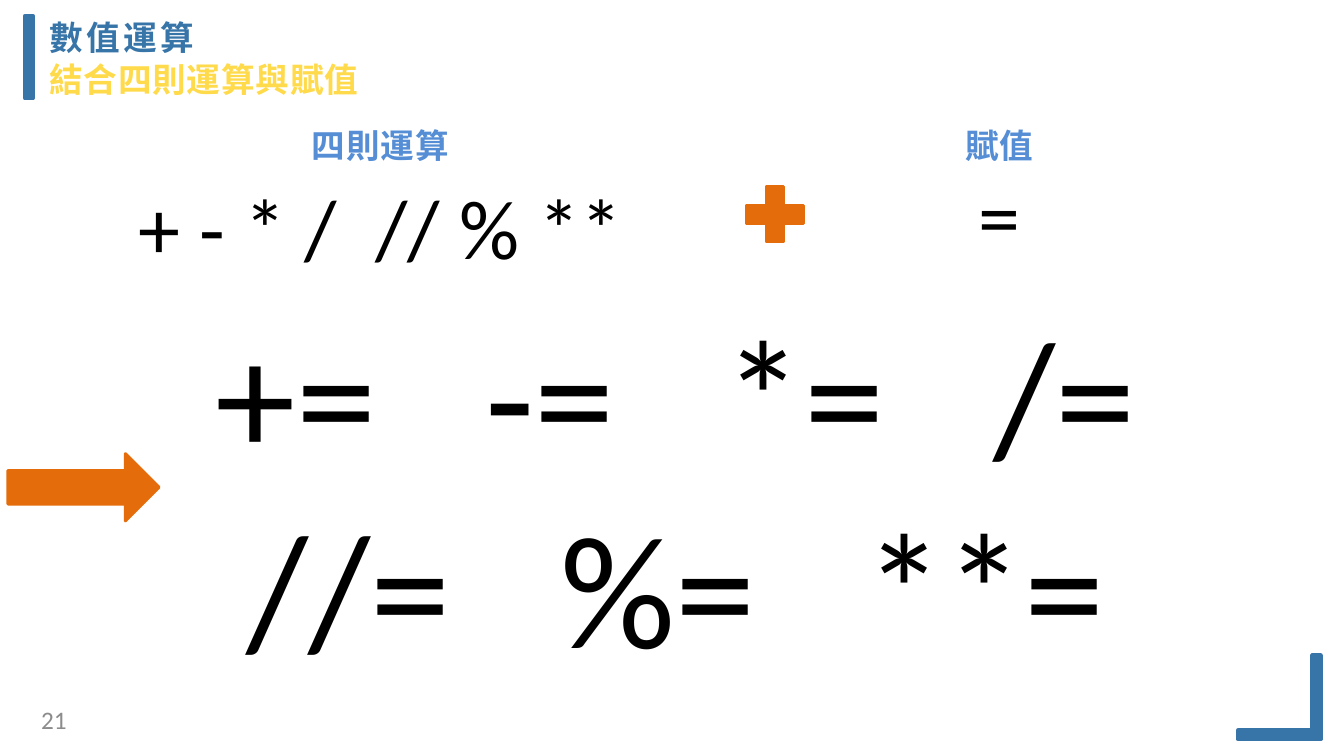
from pptx import Presentation
from pptx import util as u
from pptx.dml.color import RGBColor
from pptx.enum import shapes, text
from pptx.oxml.ns import qn

BLUE, YELLOW, HEADING = "3775A9", "FFDA4A", "558ED5"
ORANGE, BLACK, GREY = "E46C0A", "000000", "8C8C8C"
CJK, LATIN = "Noto Sans CJK SC", "Calibri"
ALIGN = text.PP_ALIGN


def color(code):
    return RGBColor.from_string(code)


def place(item, box):
    item.left, item.top, item.width, item.height = (u.Cm(n) for n in box)


def add_text(frame, lines, colors, size, font=LATIN, bold=False, spacing=(0,),
             align=ALIGN.CENTER, margins=(0.25, 0.13), leading=None, before=0):
    """Fill a frame, cycling colours and letter spacing over its lines."""
    frame.word_wrap = True
    frame.auto_size = text.MSO_AUTO_SIZE.NONE
    frame.vertical_anchor = text.MSO_ANCHOR.TOP
    frame.margin_left = frame.margin_right = u.Cm(margins[0])
    frame.margin_top = frame.margin_bottom = u.Cm(margins[1])
    for number, line in enumerate(lines):
        para = frame.paragraphs[0] if number == 0 else frame.add_paragraph()
        para.alignment = align
        para.space_before = u.Pt(before)
        if leading:
            para.line_spacing = u.Pt(leading)
        span = para.add_run()
        span.text = line
        span.font.name, span.font.size, span.font.bold = font, u.Pt(size), bold
        span.font.color.rgb = color(colors[number % len(colors)])
        props = span.font._element
        props.set("spc", str(int(spacing[number % len(spacing)] * 100)))
        east_asian = props.makeelement(qn("a:ea"), {"typeface": font})
        props.find(qn("a:latin")).addnext(east_asian)


def add_label(page, box, lines, code, size, **style):
    label = page.shapes.add_textbox(*(u.Cm(n) for n in box))
    add_text(label.text_frame, lines, [code], size, **style)


def add_block(page, kind, box, code, line_width=2):
    block = page.shapes.add_shape(kind, *(u.Cm(n) for n in box))
    block.shadow.inherit = False
    block.fill.solid()
    block.fill.fore_color.rgb = block.line.color.rgb = color(code)
    block.line.width = u.Pt(line_width)


def add_bar(page, box):
    add_block(page, shapes.MSO_SHAPE.RECTANGLE, box, BLUE, 3)


def add_header(page, box):
    left, top, width, height = box
    # Accent bar, then the two-line title
    add_bar(page, (left, top, 0.2, height - 0.05))
    title = page.shapes.title
    place(title, (left + 0.61, top, width - 0.61, height))
    add_text(title.text_frame, ["數值運算", "結合四則運算與賦值"], [BLUE, YELLOW],
             24, font=CJK, bold=True, spacing=(2.4, 0.6), align=ALIGN.LEFT,
             margins=(0, 0.03), leading=29, before=1)


def add_ingredient(page, box, heading, symbols, drop):
    """A heading centred over its row of symbols."""
    left, top, width, height = box
    add_label(page, (left, top, width, 1.27), [heading], HEADING, 24, font=CJK,
              bold=True, spacing=(0.6,), leading=29)
    add_label(page, (left, top + drop, width, height - drop), [symbols], BLACK, 60)


def add_result(page, box):
    left, top, width, height = box
    # Arrow pointing at the combined operators
    add_block(page, shapes.MSO_SHAPE.RIGHT_ARROW, (left, top + 4.14, 3.81, 1.7), ORANGE)
    add_label(page, (left + 4.7, top, width - 4.7, height),
              ["+=   -=   *=   /=", "//=   %=   **="], BLACK, 115)


def add_corner(page, box):
    left, top, width, height = box
    thick = 0.21
    add_bar(page, (left + width - thick, top, thick, height))
    add_bar(page, (left, top + height - thick, width, thick))


def main():
    deck = Presentation()
    deck.slide_width, deck.slide_height = u.Cm(33.87), u.Cm(19.05)
    page = deck.slides.add_slide(deck.slide_layouts[5])

    add_header(page, (0.63, 0.4, 10.8, 2.13))

    # Arithmetic plus assignment
    add_ingredient(page, (1.9, 3, 15.37, 4.11), "四則運算", "+ - * /  // % **", 1.29)
    add_block(page, shapes.MSO_SHAPE.MATH_PLUS, (18.54, 4.45, 1.98, 1.9), ORANGE)
    add_ingredient(page, (22.86, 3, 4.65, 3.81), "賦值", "=", 0.99)

    add_result(page, (0.2, 7.29, 28.96, 10.08))

    # Page furniture
    add_corner(page, (31.19, 16.52, 2.09, 2.1))
    add_label(page, (0.2, 17.75, 1.48, 0.76), ["21"], GREY, 18,
              align=ALIGN.RIGHT, margins=(0, 0))

    deck.save("out.pptx")


if __name__ == "__main__":
    main()
